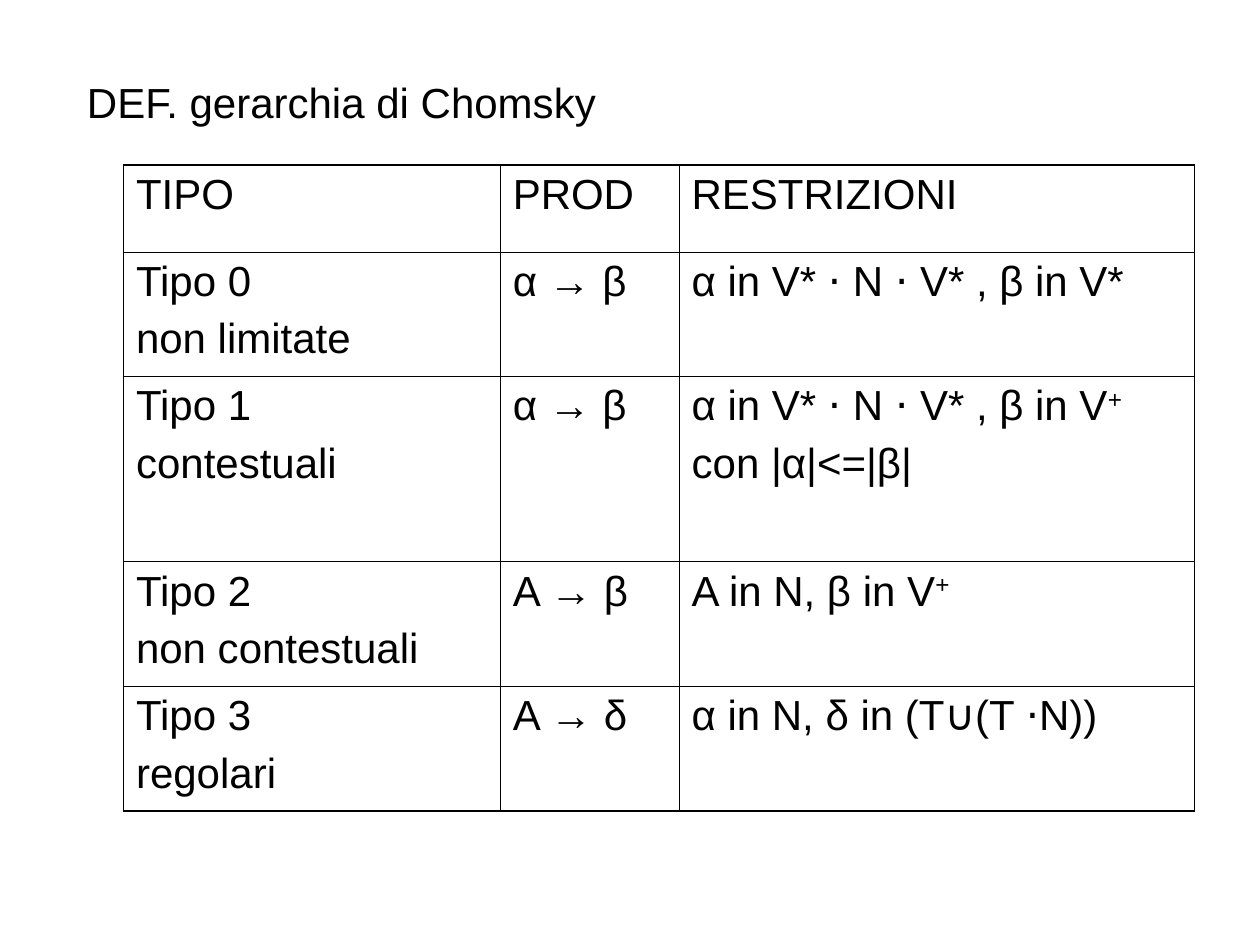
from lxml import etree
from pptx import Presentation
from pptx.dml.color import RGBColor
from pptx.enum.text import MSO_ANCHOR, MSO_AUTO_SIZE, PP_ALIGN
from pptx.oxml.ns import qn
from pptx.util import Inches, Pt

LEFT = PP_ALIGN.LEFT
TOP = MSO_ANCHOR.TOP
NO_AUTOFIT = MSO_AUTO_SIZE.NONE
TITLE_ONLY = 5
BLACK = "000000"
OUTER, INNER = 1.08, 0.45
COLUMN_WIDTHS = [2.99, 1.42, 4.09]
ROW_HEIGHTS = [0.69, 0.99, 1.47, 0.99, 0.99]
GRAMMARS = [
    ["TIPO", "PROD", "RESTRIZIONI"],
    ["Tipo 0\nnon limitate", "α → β", "α in V* ⋅ N ⋅ V* , β in V*"],
    ["Tipo 1\ncontestuali", "α → β", "α in V* ⋅ N ⋅ V* , β in V^+\ncon |α|<=|β|"],
    ["Tipo 2\nnon contestuali", "A → β", "A in N, β in V^+"],
    ["Tipo 3\nregolari", "A → δ", "α in N, δ in (T∪(T ⋅N))"],
]


def color(value):
    """Return the colour for a hex string."""
    return RGBColor.from_string(value)


def write_text(frame, text, size=24, font="Arial", fill=BLACK, space_before=6):
    """Write one paragraph per line, raising what follows a caret."""
    for index, line in enumerate(text.split("\n")):
        paragraph = frame.add_paragraph() if index else frame.paragraphs[0]
        paragraph.alignment = LEFT
        paragraph.space_before = Pt(space_before)
        base, _, superscript = line.partition("^")
        for part in filter(None, (base, superscript)):
            run = paragraph.add_run()
            run.text = part
            run.font.size = Pt(size)
            run.font.name = font
            run.font.color.rgb = color(fill)
        if superscript:
            run._r.get_or_add_rPr().set("baseline", "30000")


def add_title(slide, text):
    """Place and format the title placeholder."""
    title = slide.shapes.title
    title.left, title.top = Inches(0.59), Inches(0.52)
    title.width, title.height = Inches(9.06), Inches(0.63)
    frame = title.text_frame
    frame.word_wrap = True
    frame.auto_size = NO_AUTOFIT
    frame.vertical_anchor = TOP
    frame.margin_top = Inches(0.09)
    write_text(frame, text)


def set_borders(cell, widths):
    """Draw the cell's edges with the given widths in points."""
    properties = cell._tc.get_or_add_tcPr()
    for side, width in widths.items():
        line = etree.SubElement(properties, qn(f"a:ln{side}"), w=str(Pt(width)))
        fill = etree.SubElement(line, qn("a:solidFill"))
        etree.SubElement(fill, qn("a:srgbClr"), val=BLACK)


def add_grid(slide, rows, left, top):
    """Add a table with a heavier outer frame."""
    row_count, column_count = len(rows), len(rows[0])
    table = slide.shapes.add_table(
        row_count, column_count, Inches(left), Inches(top),
        Inches(sum(COLUMN_WIDTHS)), Inches(sum(ROW_HEIGHTS)),
    ).table
    table.first_row = table.horz_banding = False
    for column, width in zip(table.columns, COLUMN_WIDTHS):
        column.width = Inches(width)
    for row, height in zip(table.rows, ROW_HEIGHTS):
        row.height = Inches(height)
    for r, texts in enumerate(rows):
        for c, text in enumerate(texts):
            cell = table.cell(r, c)
            set_borders(cell, {
                "L": OUTER if c == 0 else INNER,
                "R": OUTER if c == column_count - 1 else INNER,
                "T": OUTER if r == 0 else INNER,
                "B": OUTER if r == row_count - 1 else INNER,
            })
            cell.fill.background()
            write_text(cell.text_frame, text)


def main():
    """Build the slide and save it."""
    presentation = Presentation()
    presentation.slide_width, presentation.slide_height = Inches(10), Inches(7.5)
    slide = presentation.slides.add_slide(presentation.slide_layouts[TITLE_ONLY])
    add_title(slide, "DEF. gerarchia di Chomsky")
    add_grid(slide, GRAMMARS, 0.98, 1.31)
    presentation.save("out.pptx")


if __name__ == "__main__":
    main()
